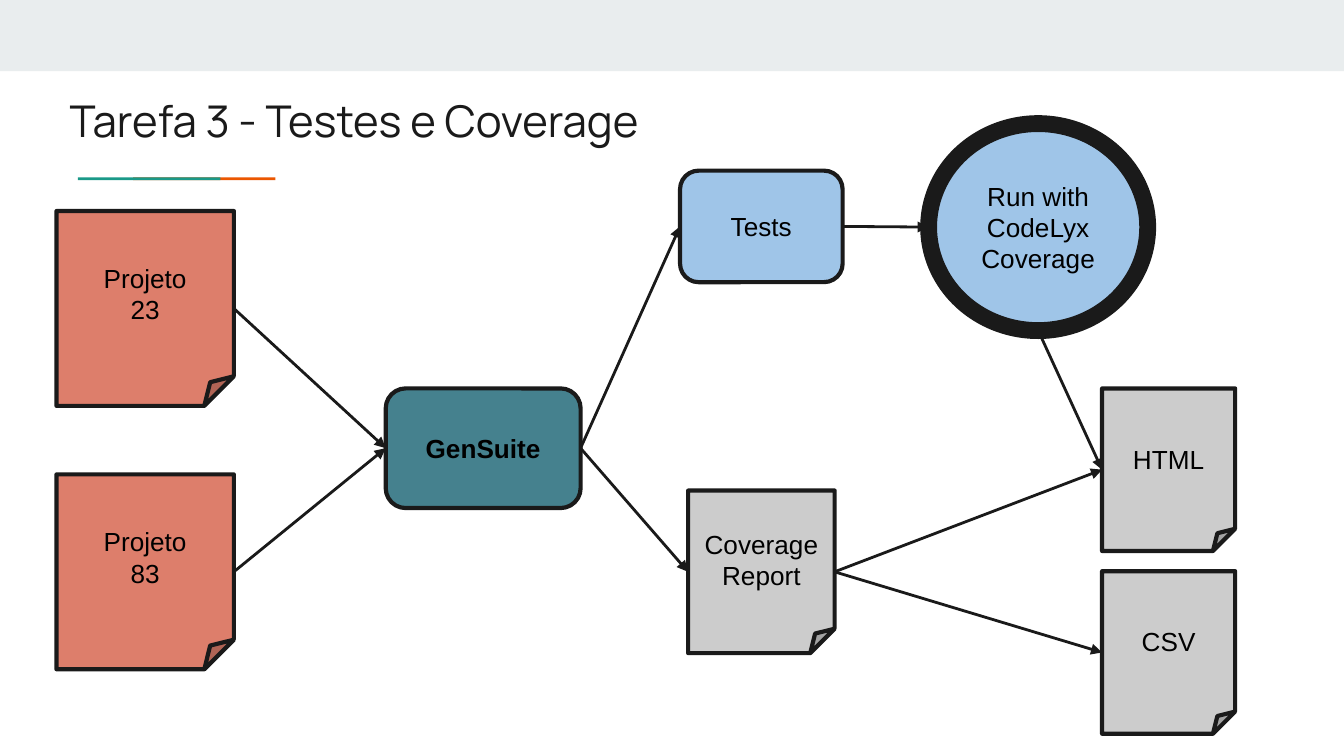
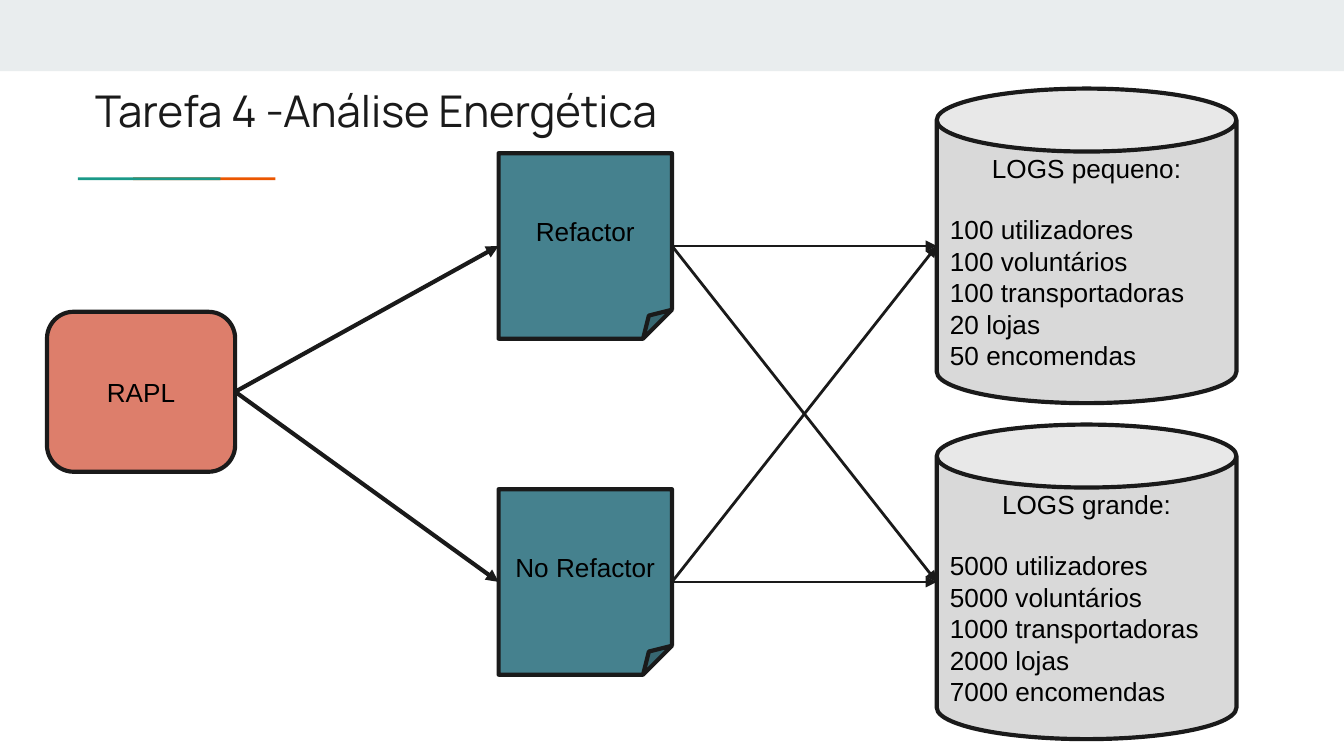
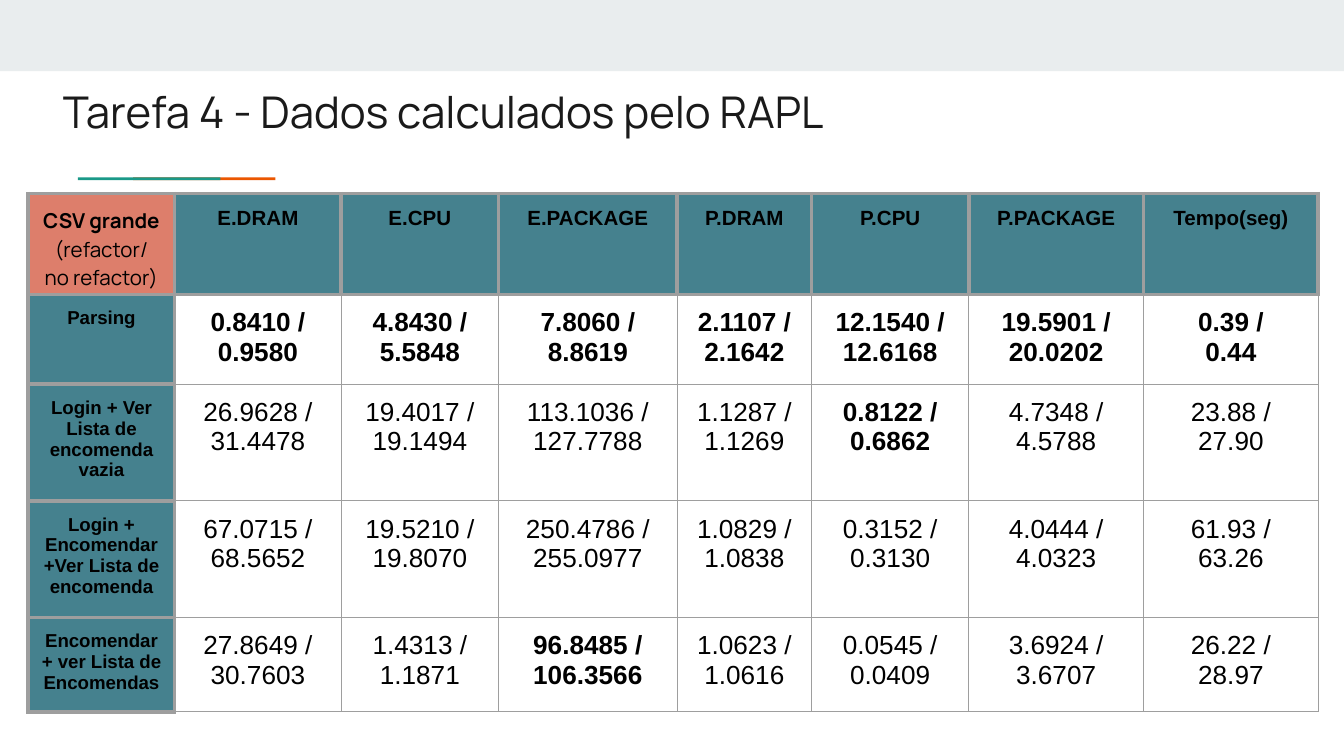
from pptx import Presentation
from pptx import util as u
from pptx.dml.color import RGBColor
from pptx.enum import shapes, text
from pptx.oxml import parse_xml
from pptx.oxml.ns import nsdecls

INK, BLACK, GREY = "1A1A1A", "000000", "9E9E9E"
BAND, ORANGE, GREEN = "E9EDEE", "EB5600", "1A9988"
CORAL, TEAL, BLUE, PAPER, STORE = "DD7E6B", "45818E", "9FC5E8", "CCCCCC", "D9D9D9"
BODY, HEAD = "Arial", "Manrope"
TOP, LEFT, BOTTOM, RIGHT = range(4)
CENTER = text.PP_ALIGN.CENTER
KIND = shapes.MSO_SHAPE


def px(n):
    return u.Emu(n * 9144)


def rgb(hex_color):
    return RGBColor.from_string(hex_color)


class Deck:
    def __init__(self, prs):
        self.prs = prs
        self.prs.slide_width = px(1000)
        self.prs.slide_height = u.Inches(5.625)

    def slide(self, title, x, y):
        self.s = self.prs.slides.add_slide(self.prs.slide_layouts[6])
        self.shape(KIND.RECTANGLE, (0, 0, 1000, 53), BAND)
        self.shape(KIND.RECTANGLE, (99, 132, 106, 2), ORANGE)
        self.shape(KIND.RECTANGLE, (58, 132, 106, 2), GREEN)
        sp = self.s.shapes.add_textbox(px(x), px(y), px(841), px(59))
        self.frame_text(sp.text_frame, title, 23.4, INK, HEAD, align=text.PP_ALIGN.LEFT)

    def frame_text(self, tf, words, size=14, color=BLACK, font=BODY, bold=False, align=CENTER):
        tf.word_wrap = True
        tf.margin_left = tf.margin_right = tf.margin_top = tf.margin_bottom = px(10)
        self.style_text(tf, words, size, color, font, bold, align)

    def style_text(self, tf, words, size, color, font, bold, align):
        tf.text = words
        for p in tf.paragraphs:
            p.alignment = align
            for r in p.runs:
                r.font.size = u.Pt(size)
                r.font.name = font
                r.font.bold = bold
                r.font.color.rgb = rgb(color)

    def shape(self, kind, box, fill, words="", line=0, bold=False):
        sp = self.s.shapes.add_shape(kind, *map(px, box))
        sp.shadow.inherit = False
        sp.fill.solid()
        sp.fill.fore_color.rgb = rgb(fill)
        if line:
            sp.line.color.rgb = rgb(INK)
            sp.line.width = u.Pt(line)
        else:
            sp.line.fill.background()
        if words:
            self.frame_text(sp.text_frame, words, bold=bold)
            sp.text_frame.vertical_anchor = text.MSO_ANCHOR.MIDDLE
        return sp

    def note(self, box, fill, words):
        return self.shape(KIND.FOLDED_CORNER, box, fill, words, 2.25)

    def step(self, box, fill, words, bold=False):
        return self.shape(KIND.ROUNDED_RECTANGLE, box, fill, words, 2.25, bold)

    def store(self, box, heading, items):
        sp = self.shape(KIND.CAN, box, STORE, "\n".join([heading] + items), 2.25)
        sp.adjustments[0] = 0.21
        first, *rest = sp.text_frame.paragraphs
        first.space_after = u.Pt(16)
        for p in rest:
            p.alignment = text.PP_ALIGN.LEFT
        return sp

    def side_point(self, sp, side):
        mid_x, mid_y = sp.left + sp.width // 2, sp.top + sp.height // 2
        return {TOP: (mid_x, sp.top), LEFT: (sp.left, mid_y),
                BOTTOM: (mid_x, sp.top + sp.height),
                RIGHT: (sp.left + sp.width, mid_y)}[side]

    def arrow(self, a, b, start=RIGHT, end=LEFT, width=1.5):
        ends = self.side_point(a, start) + self.side_point(b, end)
        c = self.s.shapes.add_connector(shapes.MSO_CONNECTOR.STRAIGHT, *ends)
        four_sided = (KIND.FOLDED_CORNER, KIND.ROUNDED_RECTANGLE)
        if a.auto_shape_type in four_sided:
            c.begin_connect(a, start)
        if b.auto_shape_type in four_sided:
            c.end_connect(b, end)
        c.line.color.rgb = rgb(INK)
        c.line.width = u.Pt(width)
        sp_pr = c._element.spPr
        sp_pr.ln.append(parse_xml(f'<a:tailEnd {nsdecls("a")} type="triangle"/>'))
        sp_pr.append(parse_xml(f'<a:effectLst {nsdecls("a")}/>'))

    def table(self, x, y, widths, heights):
        frame = self.s.shapes.add_table(len(heights), len(widths), px(x), px(y),
                                        px(sum(widths)), px(sum(heights)))
        t = frame.table
        t.first_row = t.horz_banding = False
        for col, w in zip(t.columns, widths):
            col.width = px(w)
        for row, h in zip(t.rows, heights):
            row.height = px(h)
        return t

    def cell(self, cell, words, size, bold, fill, borders):
        cell.margin_left = cell.margin_right = px(10)
        cell.margin_top = cell.margin_bottom = px(10)
        self.style_text(cell.text_frame, words, size, BLACK, BODY, bold, CENTER)
        tc_pr = cell._tc.get_or_add_tcPr()
        for edge, width in zip("LRTB", borders):
            tc_pr.append(parse_xml(
                f'<a:ln{edge} {nsdecls("a")} w="{u.Pt(width)}"><a:solidFill>'
                f'<a:srgbClr val="{GREY}"/></a:solidFill></a:ln{edge}>'))
        if fill:
            cell.fill.solid()
            cell.fill.fore_color.rgb = rgb(fill)
        else:
            cell.fill.background()


def coverage_slide(d):
    d.slide("Tarefa 3 - Testes e Coverage", 42, 60)
    projects = [d.note((42, y, 132, 145), CORAL, f"Projeto\n{number}")
                for y, number in ((157, 23), (353, 83))]
    suite = d.step((287, 289, 145, 89), TEAL, "GenSuite", bold=True)
    report = d.note((512, 365, 109, 121), PAPER, "Coverage\nReport")
    html, csv = [d.note((820, y, 99, 121), PAPER, name)
                 for y, name in ((289, "HTML"), (425, "CSV"))]
    tests = d.step((506, 127, 121, 83), BLUE, "Tests")
    run = d.shape(KIND.OVAL, (691, 92, 163, 154), BLUE, "Run with CodeLyx Coverage", 9)
    for project in projects:
        d.arrow(project, suite)
    for a, b in ((suite, report), (report, html), (report, csv), (suite, tests), (tests, run)):
        d.arrow(a, b)
    d.arrow(run, html, BOTTOM)


def energy_slide(d):
    d.slide("Tarefa 4 -Análise Energética", 61, 52)
    rapl = d.step((35, 232, 140, 119), CORAL, "RAPL")
    versions = [d.note((371, y, 129, 138), TEAL, name)
                for y, name in ((114, "Refactor"), (364, "No Refactor"))]
    kinds = ("utilizadores", "voluntários", "transportadoras", "lojas", "encomendas")
    logs = [d.store((697, y, 223, 234), f"LOGS {size}:",
                    [f"{n} {kind}" for n, kind in zip(counts, kinds)])
            for y, size, counts in ((66, "pequeno", (100, 100, 100, 20, 50)),
                                    (316, "grande", (5000, 5000, 1000, 2000, 7000)))]
    for version in versions:
        d.arrow(rapl, version, width=2.25)
        for log in logs:
            d.arrow(version, log)


def results_slide(d):
    d.slide("Tarefa 4 - Dados calculados pelo RAPL", 37, 53)
    header = ["CSV grande\n(refactor/ no refactor)", "E.DRAM", "E.CPU", "E.PACKAGE",
              "P.DRAM", "P.CPU", "P.PACKAGE", "Tempo(seg)"]
    rows = [
        ("Parsing", "0.8410 0.9580", "4.8430 5.5848", "7.8060 8.8619", "2.1107 2.1642",
         "12.1540 12.6168", "19.5901 20.0202", "0.39 0.44"),
        ("Login + Ver Lista de encomenda vazia", "26.9628 31.4478", "19.4017 19.1494",
         "113.1036 127.7788", "1.1287 1.1269", "0.8122 0.6862", "4.7348 4.5788",
         "23.88 27.90"),
        ("Login + Encomendar +Ver Lista de encomenda", "67.0715 68.5652",
         "19.5210 19.8070", "250.4786 255.0977", "1.0829 1.0838", "0.3152 0.3130",
         "4.0444 4.0323", "61.93 63.26"),
        ("Encomendar + ver Lista de Encomendas", "27.8649 30.7603", "1.4313 1.1871",
         "96.8485 106.3566", "1.0623 1.0616", "0.0545 0.0409", "3.6924 3.6707",
         "26.22 28.97"),
    ]
    highlights = {(2, 5), (4, 3)}
    t = d.table(21, 144, (109, 124, 117, 133, 100, 117, 130, 130), (46, 62, 74, 74, 60))
    thick, thin = 2.25, 0.75
    for j, name in enumerate(header):
        d.cell(t.cell(0, j), name, 11, True, TEAL if j else CORAL, [thick] * 4)
    for i, (label, *pairs) in enumerate(rows, 1):
        d.cell(t.cell(i, 0), label, 10, True, TEAL, [thick] * 4)
        for j, pair in enumerate(pairs, 1):
            borders = (thick if j == 1 else thin, thin, thick if i == 1 else thin, thin)
            d.cell(t.cell(i, j), pair.replace(" ", " /\n"), 14,
                   i == 1 or (i, j) in highlights, None, borders)
    corner = t.cell(0, 0).text_frame.paragraphs
    for p in corner:
        p.runs[0].font.name = HEAD
    corner[1].runs[0].font.bold = False


def main():
    prs = Presentation()
    d = Deck(prs)
    coverage_slide(d)
    energy_slide(d)
    results_slide(d)
    prs.save("out.pptx")


if __name__ == "__main__":
    main()
